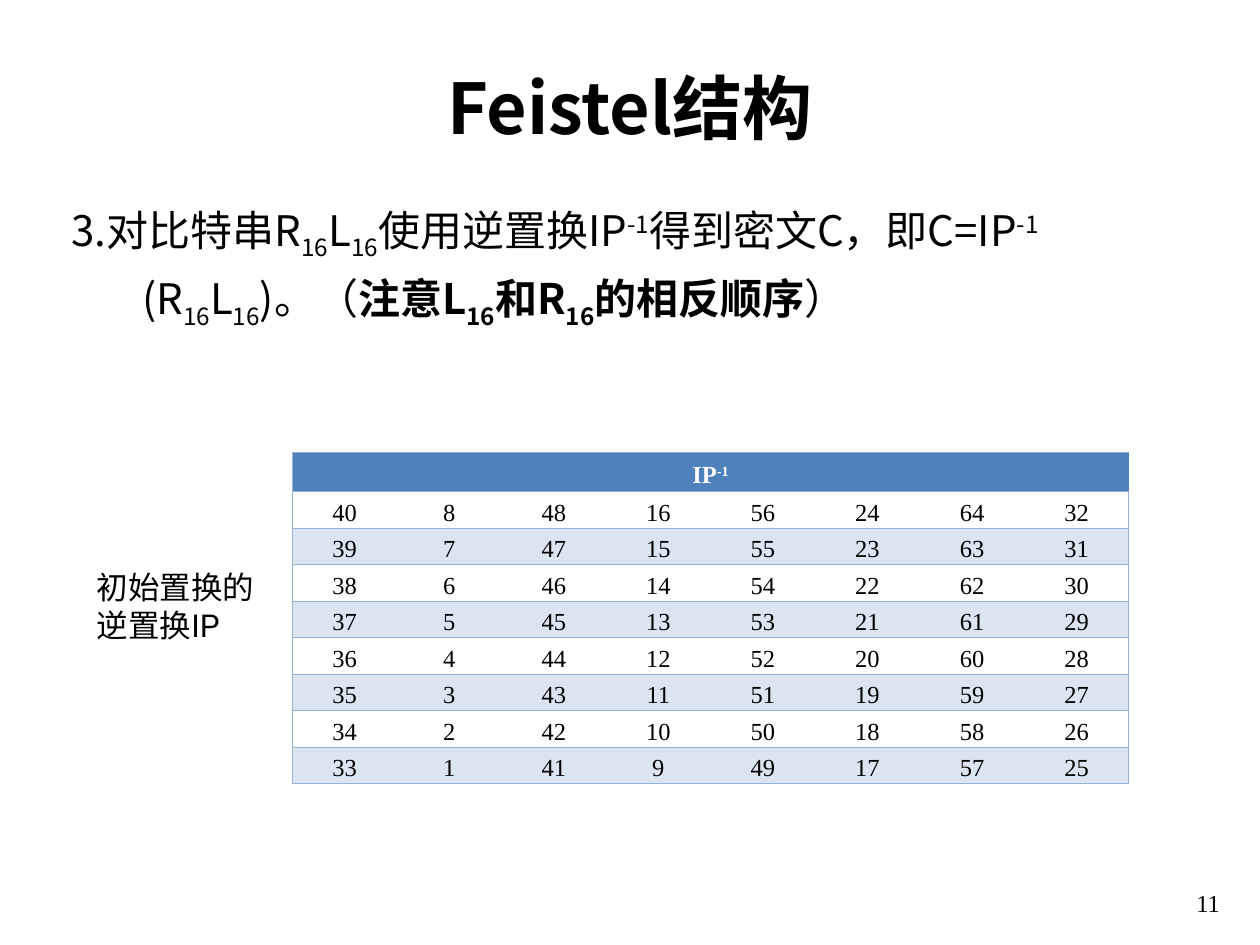
"""Build the slide on the inverse initial permutation of a Feistel cipher."""
from dataclasses import dataclass

from lxml.etree import SubElement
from pptx import Presentation
from pptx.dml.color import RGBColor
from pptx.enum.text import MSO_ANCHOR, PP_ALIGN
from pptx.oxml.ns import qn
from pptx.util import Inches, Pt

BLACK = RGBColor(0x00, 0x00, 0x00)
WHITE = RGBColor(0xFF, 0xFF, 0xFF)
BLUE = RGBColor(0x4F, 0x81, 0xBD)
PALE = RGBColor(0xDB, 0xE5, 0xF1)
EDGE = RGBColor(0x95, 0xB3, 0xD7)
SANS = "Noto Sans CJK SC"
SERIF = "Times New Roman"
PLAIN = "{2D5ABB26-0587-4C30-8999-92F81FD0307C}"
SUB, SUP = -25, 30
SIZE = 8


@dataclass(frozen=True)
class Piece:
    text: str
    base: int = 0
    bold: bool = False


@dataclass(frozen=True)
class Box:
    left: float
    top: float
    width: float
    height: float
    words: tuple[Piece, ...]
    font: str
    size: int
    align: PP_ALIGN = PP_ALIGN.LEFT
    anchor: MSO_ANCHOR = MSO_ANCHOR.TOP
    hang: float = 0
    lead: float = 1.0
    before: int = 0


R16L16 = (Piece("R"), Piece("16", SUB), Piece("L"), Piece("16", SUB))
BODY = (
    Piece("3.对比特串"), *R16L16, Piece("使用逆置换IP"), Piece("-1", SUP),
    Piece("得到密文C，即C=IP"), Piece("-1 ", SUP), Piece("("), *R16L16, Piece(")。（"),
    Piece("注意L", bold=True), Piece("16", SUB, True), Piece("和R", bold=True),
    Piece("16", SUB, True), Piece("的相反顺序", bold=True), Piece("）"),
)
BOXES = (
    Box(0.75, 0.14, 8.5, 1.09, (Piece("Feistel结构", bold=True),), SANS, 40,
        PP_ALIGN.CENTER, MSO_ANCHOR.BOTTOM),
    Box(7.7, 6.83, 2.08, 0.5, (Piece("11"),), SERIF, 14,
        PP_ALIGN.RIGHT, MSO_ANCHOR.BOTTOM),
    Box(0.67, 4.46, 1.48, 0.7, (Piece("初始置换的逆置换IP"),), "Roboto", 18),
    Box(0.47, 1.48, 9.08, 1.64, BODY, SANS, 24, hang=0.56, lead=1.2, before=5),
)


def write(frame, words: tuple[Piece, ...], *, font: str, size: int,
          color: RGBColor = BLACK, align: PP_ALIGN = PP_ALIGN.LEFT,
          lead: float = 1.0, before: int = 0, hang: float = 0) -> None:
    para = frame.paragraphs[0]
    para.alignment = align
    para.line_spacing = lead
    para.space_before = Pt(before)
    if hang:
        props = para._p.get_or_add_pPr()
        props.set("marL", str(Inches(hang)))
        props.set("indent", str(-Inches(hang)))
    for piece in words:
        run = para.add_run()
        run.text = piece.text
        run.font.name = font
        run.font.size = Pt(size)
        run.font.bold = piece.bold
        run.font.color.rgb = color
        props = run._r.get_or_add_rPr()
        SubElement(props, qn("a:ea"), typeface=font)
        if piece.base:
            props.set("baseline", str(piece.base * 1000))


def add_box(slide, box: Box) -> None:
    shape = slide.shapes.add_textbox(
        Inches(box.left), Inches(box.top), Inches(box.width), Inches(box.height))
    frame = shape.text_frame
    frame.word_wrap = True
    frame.vertical_anchor = box.anchor
    write(frame, box.words, font=box.font, size=box.size, align=box.align,
          lead=box.lead, before=box.before, hang=box.hang)


def edge(cell, sides: str) -> None:
    props = cell._tc.get_or_add_tcPr()
    for side in sides:
        line = SubElement(props, qn(f"a:ln{side}"), w=str(Pt(0.5)))
        fill = SubElement(line, qn("a:solidFill"))
        SubElement(fill, qn("a:srgbClr"), val=str(EDGE))


def style(cell, row: int, col: int) -> None:
    cell.margin_left = cell.margin_right = cell.margin_top = Inches(0.01)
    cell.margin_bottom = 0
    cell.vertical_anchor = MSO_ANCHOR.MIDDLE
    left = "L" if col == 0 else ""
    right = "R" if row and col == SIZE - 1 else ""
    edge(cell, left + right + "TB")
    if row % 2:
        cell.fill.background()
    else:
        cell.fill.solid()
        cell.fill.fore_color.rgb = PALE if row else BLUE


def add_grid(slide) -> None:
    frame = slide.shapes.add_table(
        SIZE + 1, SIZE, Inches(2.32), Inches(3.59), Inches(6.64), Inches(2.63))
    table = frame.table
    next(frame.element.iter(qn("a:tableStyleId"))).text = PLAIN
    for col in table.columns:
        col.width = Inches(0.83)
    for index, row in enumerate(table.rows):
        row.height = Inches(0.29 if index else 0.31)
        for col, cell in enumerate(row.cells):
            style(cell, index, col)
            if index:
                start = 8 if col % 2 else 40
                value = start + 8 * (col // 2) - (index - 1)
                write(cell.text_frame, (Piece(str(value)),), font=SERIF, size=14,
                      align=PP_ALIGN.CENTER, lead=1.2)
    head = table.cell(0, 0)
    head.merge(table.cell(0, SIZE - 1))
    write(head.text_frame, (Piece("IP", bold=True), Piece("-1", SUP, True)),
          font=SERIF, size=14, color=WHITE, align=PP_ALIGN.CENTER, lead=1.2)


def main() -> None:
    deck = Presentation()
    deck.slide_width, deck.slide_height = Inches(10), Inches(7.5)
    slide = deck.slides.add_slide(deck.slide_layouts[6])
    add_grid(slide)
    for box in BOXES:
        add_box(slide, box)
    deck.save("out.pptx")


if __name__ == "__main__":
    main()
